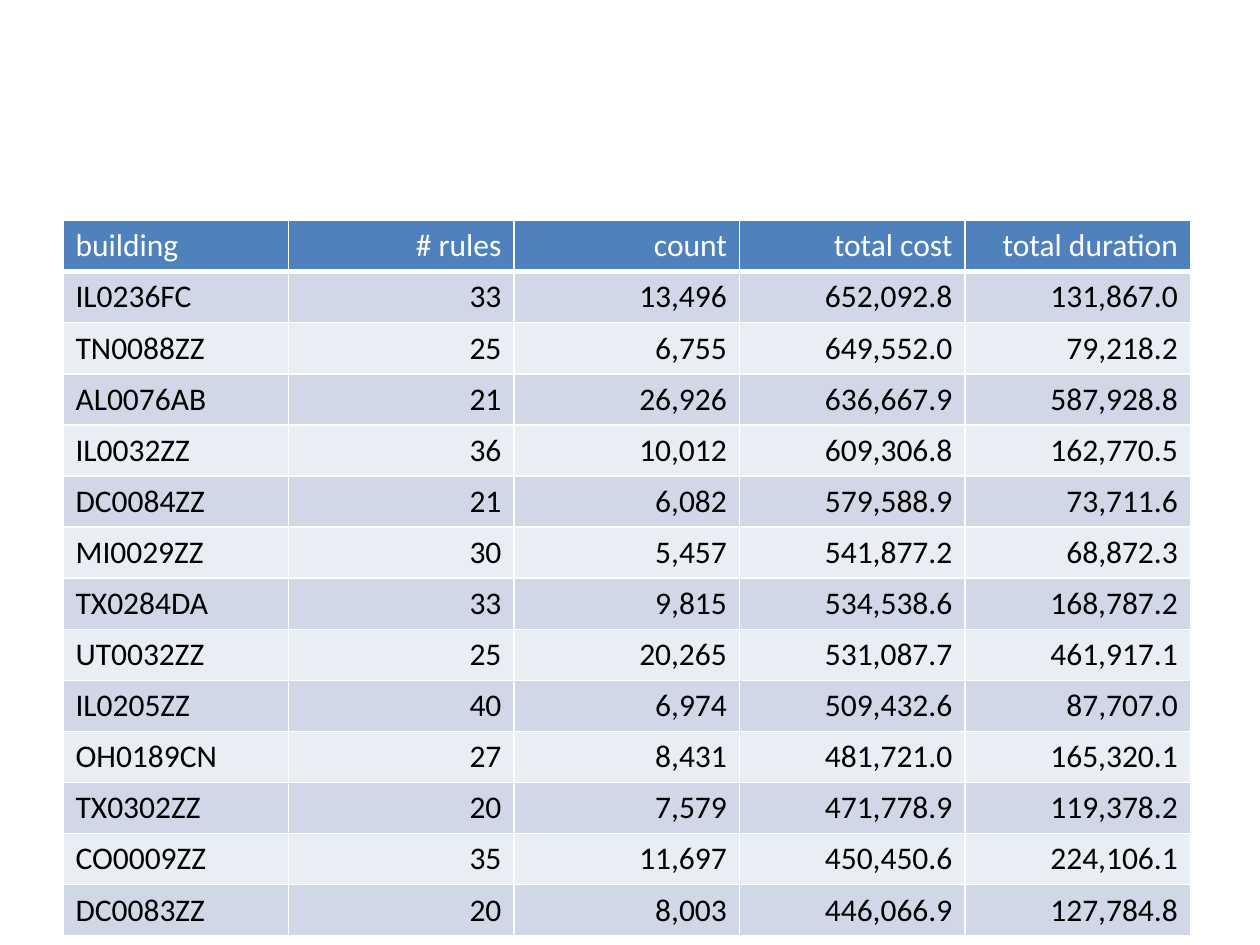
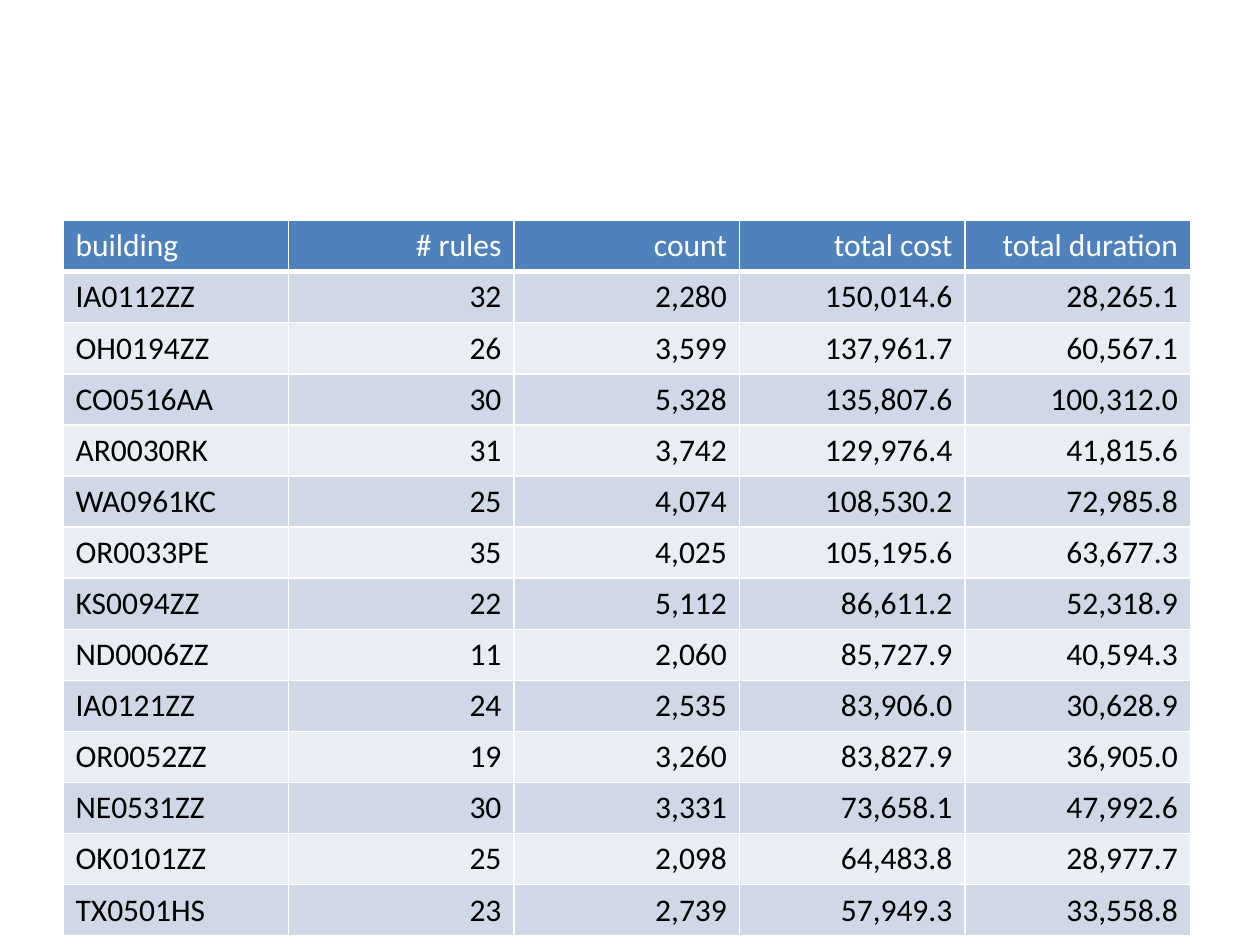
"""Build two slides that each hold a table of building totals."""
from lxml import etree
from pptx import Presentation
from pptx import util as u
from pptx.dml.color import RGBColor
from pptx.enum import text
from pptx.oxml.ns import qn

WHITE = RGBColor(0xFF, 0xFF, 0xFF)
BLACK = RGBColor(0, 0, 0)
BLUE = RGBColor(0x4F, 0x81, 0xBD)
BANDS = (RGBColor(0xE9, 0xED, 0xF4), RGBColor(0xD0, 0xD8, 0xE8))
FONT = "Calibri"
SIZE = u.Pt(18)
BOX = tuple(u.Inches(n) for n in (0.5, 1.75, 8.95, 4.94))
HEADS = ("building", "# rules", "count", "total cost", "total duration")

HIGH = (
    ("IL0236FC", 33, 13496, 652092.8, 131867.0),
    ("TN0088ZZ", 25, 6755, 649552.0, 79218.2),
    ("AL0076AB", 21, 26926, 636667.9, 587928.8),
    ("IL0032ZZ", 36, 10012, 609306.8, 162770.5),
    ("DC0084ZZ", 21, 6082, 579588.9, 73711.6),
    ("MI0029ZZ", 30, 5457, 541877.2, 68872.3),
    ("TX0284DA", 33, 9815, 534538.6, 168787.2),
    ("UT0032ZZ", 25, 20265, 531087.7, 461917.1),
    ("IL0205ZZ", 40, 6974, 509432.6, 87707.0),
    ("OH0189CN", 27, 8431, 481721.0, 165320.1),
    ("TX0302ZZ", 20, 7579, 471778.9, 119378.2),
    ("CO0009ZZ", 35, 11697, 450450.6, 224106.1),
    ("DC0083ZZ", 20, 8003, 446066.9, 127784.8),
)
LOW = (
    ("IA0112ZZ", 32, 2280, 150014.6, 28265.1),
    ("OH0194ZZ", 26, 3599, 137961.7, 60567.1),
    ("CO0516AA", 30, 5328, 135807.6, 100312.0),
    ("AR0030RK", 31, 3742, 129976.4, 41815.6),
    ("WA0961KC", 25, 4074, 108530.2, 72985.8),
    ("OR0033PE", 35, 4025, 105195.6, 63677.3),
    ("KS0094ZZ", 22, 5112, 86611.2, 52318.9),
    ("ND0006ZZ", 11, 2060, 85727.9, 40594.3),
    ("IA0121ZZ", 24, 2535, 83906.0, 30628.9),
    ("OR0052ZZ", 19, 3260, 83827.9, 36905.0),
    ("NE0531ZZ", 30, 3331, 73658.1, 47992.6),
    ("OK0101ZZ", 25, 2098, 64483.8, 28977.7),
    ("TX0501HS", 23, 2739, 57949.3, 33558.8),
)


def add_edges(cell, base):
    """Draw white cell borders, with the given bottom width in points."""
    props = cell._tc.get_or_add_tcPr()
    for side, width in (("L", 1), ("R", 1), ("T", 1), ("B", base)):
        line = etree.SubElement(props, qn("a:ln" + side), w=str(u.Pt(width)))
        fill = etree.SubElement(line, qn("a:solidFill"))
        etree.SubElement(fill, qn("a:srgbClr"), val=str(WHITE))


def fill_cell(cell, value, head, band, right):
    """Write one value and style its cell."""
    add_edges(cell, 3 if head else 1)
    cell.fill.solid()
    cell.fill.fore_color.rgb = BLUE if head else band
    para = cell.text_frame.paragraphs[0]
    if right:
        para.alignment = text.PP_ALIGN.RIGHT
    run = para.add_run()
    run.text = value if isinstance(value, str) else f"{value:,}"
    run.font.name, run.font.size, run.font.bold = FONT, SIZE, False
    run.font.color.rgb = WHITE if head else BLACK


def add_grid(slide, box, rows):
    """Place a table with a header and banded rows in the box."""
    grid = slide.shapes.add_table(len(rows) + 1, len(HEADS), *box).table
    for r, row in enumerate((HEADS, *rows)):
        for c, value in enumerate(row):
            fill_cell(grid.cell(r, c), value, r == 0, BANDS[r % 2], c > 0)


def main():
    """Build and save the slides."""
    deck = Presentation()
    deck.slide_width, deck.slide_height = u.Inches(10), u.Inches(7.5)
    for rows in (HIGH, LOW):
        slide = deck.slides.add_slide(deck.slide_layouts[6])
        add_grid(slide, BOX, rows)
    deck.save("out.pptx")


main()
